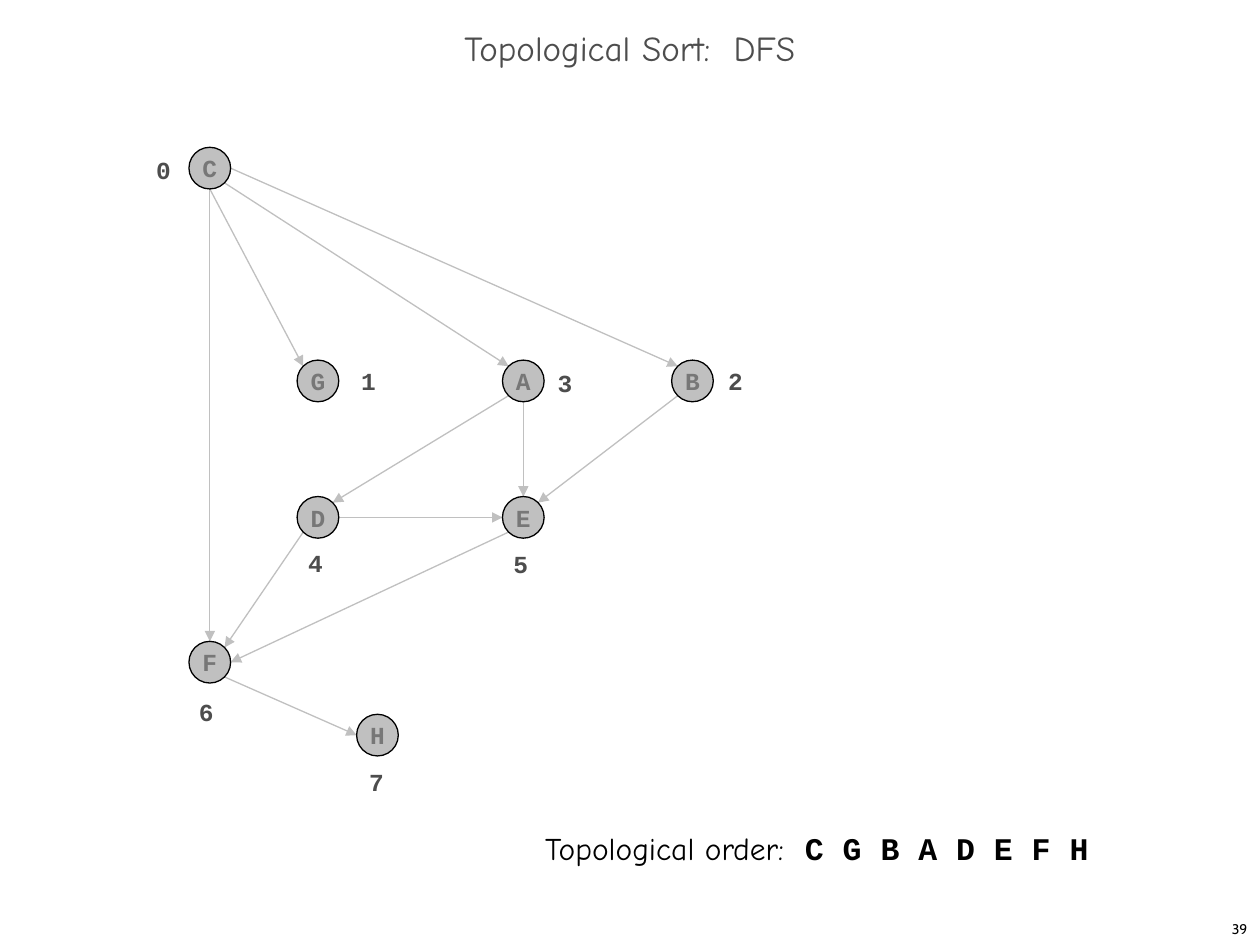
from math import cos, radians, sin

from lxml.etree import SubElement
from pptx import Presentation
from pptx.dml.color import RGBColor
from pptx.enum.shapes import MSO_CONNECTOR as LINE, MSO_SHAPE as SHAPE
from pptx.enum.text import MSO_ANCHOR as ANCHOR, MSO_AUTO_SIZE as AUTO, PP_ALIGN as ALIGN
from pptx.oxml.ns import qn
from pptx.util import Cm, Pt

BLACK = RGBColor(0x00, 0x00, 0x00)
DARK = RGBColor(0x4D, 0x4D, 0x4D)
GRAY = RGBColor(0x77, 0x77, 0x77)
LIGHT = RGBColor(0xC0, 0xC0, 0xC0)
MONO = "Courier New"
HAND = "Comic Neue"
SIZE = 0.84
ANGLES = {"E": 0, "SE": 45, "S": 90, "SW": 135, "W": 180, "NW": 225, "N": 270, "NE": 315}

NODES = {
    "C": (3.81, 2.97, "0", -0.91, 0.03),
    "G": (5.99, 7.26, "1", 1.04, 0),
    "B": (13.54, 7.26, "2", 0.89, 0),
    "A": (10.13, 7.26, "3", 0.86, 0.03),
    "D": (5.99, 10.01, "4", -0.03, 0.91),
    "E": (10.13, 10.01, "5", -0.03, 0.94),
    "F": (3.81, 12.93, "6", -0.05, 0.99),
    "H": (7.19, 14.4, "7", 0, 0.94),
}
EDGES = [
    ("C", "S", "F", "N"),
    ("C", "S", "G", "NW"),
    ("C", "SE", "A", "NW"),
    ("C", "E", "B", "NW"),
    ("A", "SW", "D", "NE"),
    ("A", "S", "E", "N"),
    ("B", "SW", "E", "NE"),
    ("D", "E", "E", "W"),
    ("D", "SW", "F", "NE"),
    ("E", "SW", "F", "E"),
    ("F", "SE", "H", "W"),
]


def style(font, name, size, color, bold=False):
    font.name = name
    font.size = Pt(size)
    font.bold = bold
    font.color.rgb = color


def rim(node, side):
    left, top = NODES[node][:2]
    turn = radians(ANGLES[side])
    half = SIZE / 2
    return Cm(left + half + half * cos(turn)), Cm(top + half + half * sin(turn))


deck = Presentation()
deck.slide_width = Cm(25.4)
deck.slide_height = Cm(19.05)
slide = deck.slides.add_slide(deck.slide_layouts[6])
shapes = slide.shapes

title = shapes.add_textbox(Cm(0), Cm(0.43), Cm(25.4), Cm(1.27)).text_frame
title.word_wrap = True
title.vertical_anchor = ANCHOR.MIDDLE
para = title.paragraphs[0]
para.text = "Topological Sort:  DFS"
para.alignment = ALIGN.CENTER
para.line_spacing = 0.7
style(para.font, HAND, 20, DARK)

for start, out, end, into in EDGES:
    edge = shapes.add_connector(LINE.STRAIGHT, *rim(start, out), *rim(end, into))
    edge.line.color.rgb = LIGHT
    edge.line.width = Pt(0.75)
    SubElement(edge.line._get_or_add_ln(), qn("a:tailEnd"), type="triangle")
    SubElement(edge._element.spPr, qn("a:effectLst"))

for name, (left, top, rank, dx, dy) in NODES.items():
    node = shapes.add_shape(SHAPE.OVAL, Cm(left), Cm(top), Cm(SIZE), Cm(SIZE))
    node.shadow.inherit = False
    node.fill.solid()
    node.fill.fore_color.rgb = LIGHT
    node.line.color.rgb = BLACK
    node.line.width = Pt(0.75)
    frame = node.text_frame
    frame.word_wrap = False
    frame.vertical_anchor = ANCHOR.MIDDLE
    para = frame.paragraphs[0]
    para.text = name
    para.alignment = ALIGN.CENTER
    style(para.font, MONO, 14, GRAY, True)

    label = shapes.add_textbox(Cm(left + dx), Cm(top + dy), Cm(0.81), Cm(SIZE)).text_frame
    label.word_wrap = False
    label.auto_size = AUTO.SHAPE_TO_FIT_TEXT
    para = label.paragraphs[0]
    para.text = rank
    style(para.font, MONO, 14, DARK, True)

order = shapes.add_textbox(Cm(10.74), Cm(16.59), Cm(11.56), Cm(1.02)).text_frame
order.word_wrap = False
order.auto_size = AUTO.SHAPE_TO_FIT_TEXT
para = order.paragraphs[0]
for text, face, bold in [("Topological order:  ", HAND, False), (" ".join(NODES), MONO, True)]:
    run = para.add_run()
    run.text = text
    style(run.font, face, 18, BLACK, bold)

page = shapes.add_textbox(Cm(20.12), Cm(18.42), Cm(5.28), Cm(0.63)).text_frame
page.word_wrap = False
page.vertical_anchor = ANCHOR.MIDDLE
para = page.paragraphs[0]
para.text = "39"
para.alignment = ALIGN.RIGHT
style(para.font, "Cabin", 8, BLACK)

deck.save("out.pptx")
